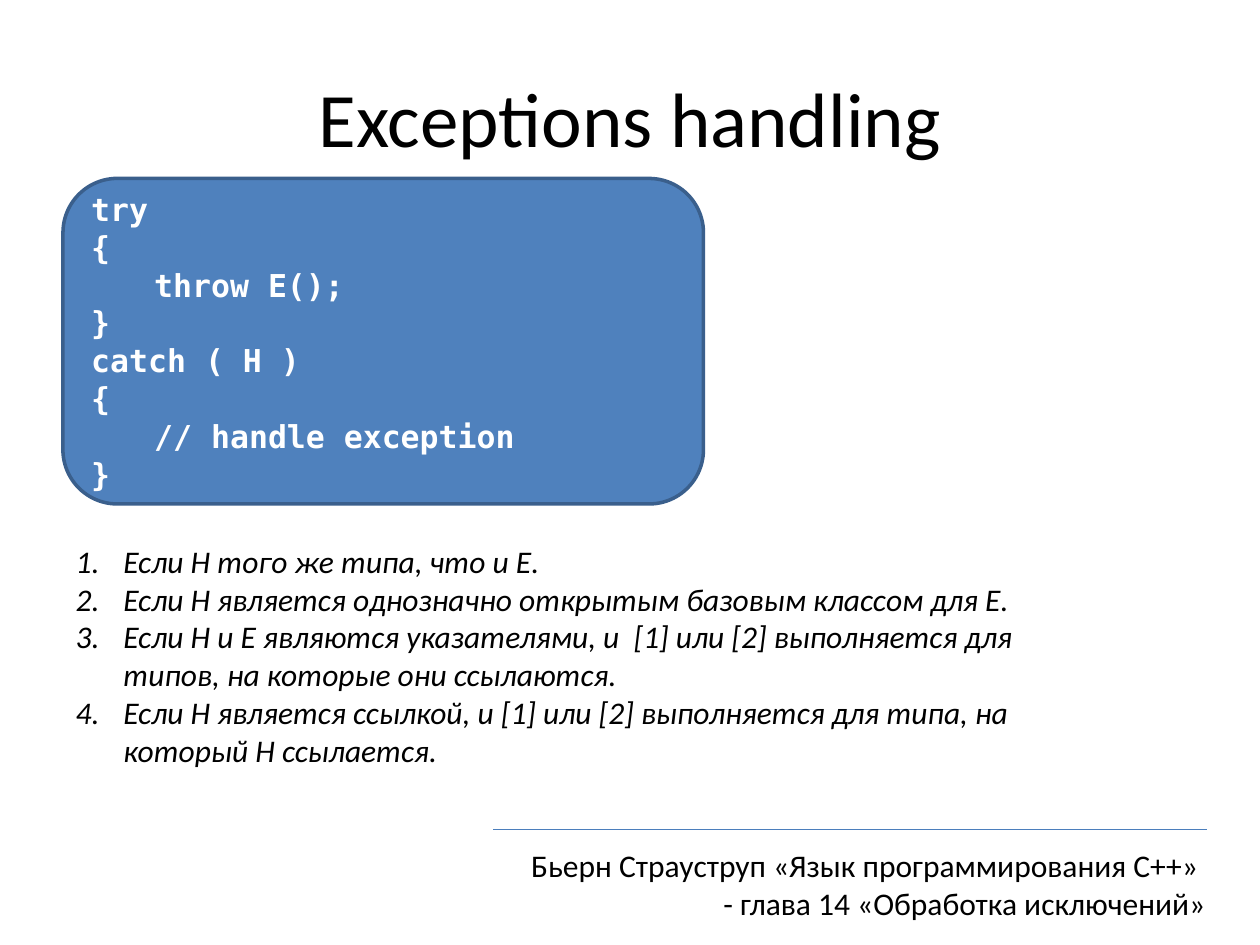
from lxml import etree
from pptx import Presentation
from pptx.dml.color import RGBColor
from pptx.enum.shapes import MSO_CONNECTOR, MSO_SHAPE
from pptx.enum.text import MSO_ANCHOR, MSO_AUTO_SIZE, PP_ALIGN
from pptx.oxml.ns import qn
from pptx.util import Inches, Pt

ROUNDED, STRAIGHT = MSO_SHAPE.ROUNDED_RECTANGLE, MSO_CONNECTOR.STRAIGHT
LEFT, CENTER, RIGHT = PP_ALIGN.LEFT, PP_ALIGN.CENTER, PP_ALIGN.RIGHT
TOP, MIDDLE = MSO_ANCHOR.TOP, MSO_ANCHOR.MIDDLE
NO_FIT = MSO_AUTO_SIZE.NONE

THEME = {
    "panel": RGBColor.from_string("4F81BD"),
    "panel_edge": RGBColor.from_string("3A5F8C"),
    "rule": RGBColor.from_string("4B7EBC"),
    "title": {"size": Pt(44), "name": "Calibri", "color": "000000"},
    "code": {"size": Pt(18), "name": "DejaVu Sans Mono", "color": "FFFFFF", "bold": True},
    "rules": {"size": Pt(18), "name": "Calibri", "color": "000000", "italic": True},
    "reference": {"size": Pt(18), "name": "Calibri", "color": "000000"},
}
CELL = Inches(1) // 12  # the slide is a grid of 120 columns by 90 rows


def grid(*cells):
    return [round(cell * CELL) for cell in cells]


def write_lines(shape, lines, style, align, anchor):
    """Fill a shape with one formatted paragraph per line."""
    frame = shape.text_frame
    for name, value in {"word_wrap": True, "auto_size": NO_FIT, "vertical_anchor": anchor}.items():
        setattr(frame, name, value)
    frame.text = "\n".join(lines)
    for paragraph in frame.paragraphs:
        paragraph.alignment = align
        paragraph.space_before = Pt(0)
        for name, value in THEME[style].items():
            if name == "color":
                paragraph.font.color.rgb = RGBColor.from_string(value)
            else:
                setattr(paragraph.font, name, value)


prs = Presentation()
prs.slide_width, prs.slide_height = grid(120, 90)
slide = prs.slides.add_slide(prs.slide_layouts[1])
title, rules = slide.placeholders

# Title
title.left, title.top, title.width, title.height = grid(6, 3.6, 108, 15)
write_lines(title, ["Exceptions handling"], "title", CENTER, MIDDLE)

# Code panel
code = slide.shapes.add_shape(ROUNDED, *grid(6, 17, 61, 31))
code.shadow.inherit = False
code.fill.solid()
code.fill.fore_color.rgb = THEME["panel"]
code.line.color.rgb = THEME["panel_edge"]
code.line.width = Pt(2)
write_lines(code, [
    "try",
    "{",
    "\tthrow E();",
    "}",
    "catch ( H )",
    "{",
    "\t// handle exception",
    "}",
], "code", LEFT, MIDDLE)

# Numbered matching rules
rules.left, rules.top, rules.width, rules.height = grid(6, 51, 96, 23)
write_lines(rules, [
    "Если H того же типа, что и E.",
    "Если H является однозначно открытым базовым классом для E.",
    "Если H и E являются указателями, и  [1] или [2] выполняется для типов, "
    "на которые они ссылаются.",
    "Если H является ссылкой, и [1] или [2] выполняется для типа, на который H ссылается.",
], "rules", LEFT, TOP)
hanging = Inches(0.38)
for paragraph in rules.text_frame.paragraphs:
    properties = paragraph._p.get_or_add_pPr()
    properties.set("marL", str(hanging))
    properties.set("indent", str(-hanging))
    number_font = etree.Element(qn("a:buFont"), typeface=THEME["rules"]["name"])
    numbering = etree.Element(qn("a:buAutoNum"), type="arabicPeriod")
    properties.insert_element_before(number_font, "a:defRPr")
    properties.insert_element_before(numbering, "a:defRPr")

# Book reference under a rule
reference = slide.shapes.add_textbox(*grid(22, 80, 94, 8.5))
write_lines(reference, [
    "Бьерн Страуструп «Язык программирования С++» ",
    "- глава 14 «Обработка исключений»",
], "reference", RIGHT, TOP)

divider = slide.shapes.add_connector(STRAIGHT, *grid(47, 79, 115, 79))
divider.line.color.rgb = THEME["rule"]
divider.line.width = Pt(0.75)
etree.SubElement(divider._element.spPr, qn("a:effectLst"))

prs.save("out.pptx")
